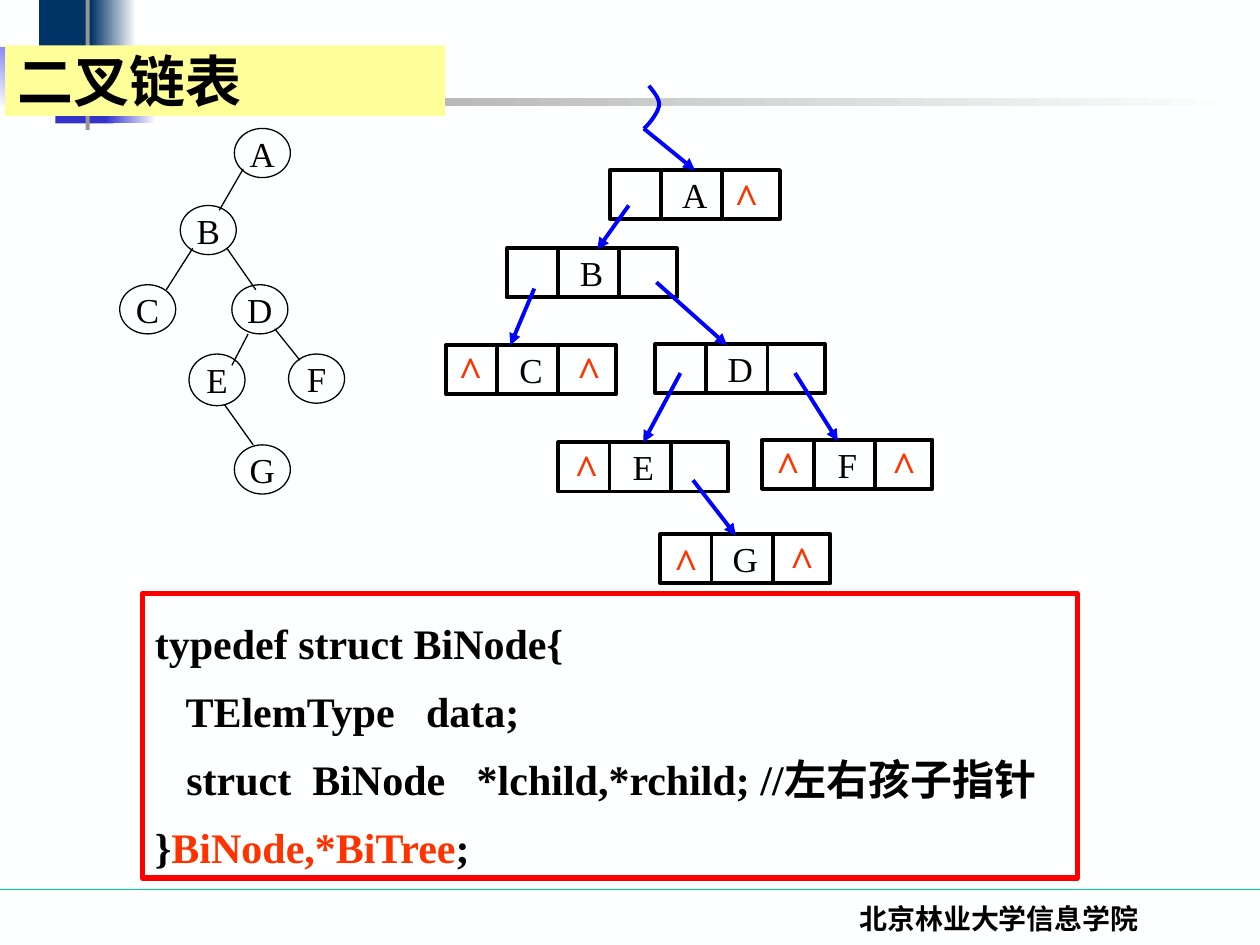
from lxml import etree
from pptx import Presentation
from pptx.dml.color import RGBColor
from pptx.enum import shapes, text
from pptx.oxml import ns
from pptx.util import Pt

BLACK, BLUE, RED, PAPER = "000000", "0000FF", "FF3300", "FEFFFF"
LATIN, CJK = "Times New Roman", "Noto Sans CJK SC"
RECT, OVAL = shapes.MSO_SHAPE.RECTANGLE, shapes.MSO_SHAPE.OVAL
LEFT, CENTER = text.PP_ALIGN.LEFT, text.PP_ALIGN.CENTER
TOP, MIDDLE = text.MSO_ANCHOR.TOP, text.MSO_ANCHOR.MIDDLE


def rgb(value):
    return RGBColor.from_string(value)


def apply(target, values):
    for name, value in values.items():
        setattr(target, name, value)


def write(sp, lines, size, bold=False, font=LATIN, align=CENTER,
          anchor=MIDDLE, wrap=False, spacing=None):
    tf = sp.text_frame
    apply(tf, {"word_wrap": wrap, "vertical_anchor": anchor,
               "margin_left": Pt(7.2), "margin_right": Pt(7.2),
               "margin_top": Pt(3.6), "margin_bottom": Pt(3.6)})
    for i, runs in enumerate(lines):
        p = tf.paragraphs[0] if i == 0 else tf.add_paragraph()
        apply(p, {"alignment": align, "line_spacing": spacing})
        for words, color in runs:
            r = p.add_run()
            r.text = words
            apply(r.font, {"size": Pt(size), "bold": bold, "name": font})
            r.font.color.rgb = rgb(color)
            ea = etree.SubElement(r.font._element, ns.qn("a:ea"))
            ea.set("typeface", CJK)


def add_box(s, kind, box, fill=None, line=None, width=0.75, angle=0):
    sp = s.shapes.add_shape(kind, *map(Pt, box))
    sp.shadow.inherit = False
    if isinstance(fill, tuple):
        sp.fill.gradient()
        sp.fill.gradient_angle = angle
        for stop, color, position in zip(sp.fill.gradient_stops, fill, (0, 1)):
            stop.color.rgb = rgb(color)
            stop.position = position
    elif fill:
        sp.fill.solid()
        sp.fill.fore_color.rgb = rgb(fill)
    else:
        sp.fill.background()
    if line:
        sp.line.color.rgb = rgb(line)
        sp.line.width = Pt(width)
    else:
        sp.line.fill.background()
    return sp


def add_line(s, x1, y1, x2, y2, color=BLACK, width=0.75, arrow=False):
    cx = s.shapes.add_connector(shapes.MSO_CONNECTOR.STRAIGHT,
                                *map(Pt, (x1, y1, x2, y2)))
    cx.line.color.rgb = rgb(color)
    cx.line.width = Pt(width)
    if arrow:
        etree.SubElement(cx.line._get_or_add_ln(), ns.qn("a:tailEnd"), type="triangle")
    etree.SubElement(cx._element.spPr, ns.qn("a:effectLst"))
    return cx


def add_text(s, box, words, size, color, anchor, wrap=False):
    sp = s.shapes.add_textbox(*map(Pt, box))
    write(sp, [[(words, color)]], size, bold=True, anchor=anchor, wrap=wrap)


def draw_backdrop(s, width, height):
    s.background.fill.solid()
    s.background.fill.fore_color.rgb = rgb(PAPER)
    add_line(s, 0, height - 31.7, width, height - 31.7, "00CC99")
    for box, fill, angle in [
        ((22.3, 0, 34.6, 37.4), "003366", 0),
        ((51.8, 0, 25.9, 37.4), ("003366", PAPER), 0),
        ((31.7, 33.1, 33.1, 37.4), "3333CC", 0),
        ((60.5, 33.1, 28.8, 37.4), ("3333CC", PAPER), 0),
        ((-0.7, 27.4, 43.9, 33.1), (PAPER, BLUE), 45),
        ((49, -8.6, 2.2, 82.8), "969696", 0),
        ((23.8, 56.2, 684.7, 4.3), ("969696", PAPER), 0),
    ]:
        add_box(s, RECT, box, fill, angle=angle)
    add_text(s, (421.9, height - 28.1, 298.1, 36), "北京林业大学信息学院",
             16, BLACK, TOP, wrap=True)


def draw_title(s, box):
    sp = add_box(s, RECT, box, "FFFF99")
    write(sp, [[("二叉链表", BLACK)]], 32, True, CJK, LEFT, wrap=True)


def draw_tree(s, left, top):
    nodes = {"A": (65.5, 0), "B": (34.6, 44), "C": (0, 89.3), "D": (64.1, 89.3),
             "E": (39.6, 128.9), "F": (96.5, 128.9), "G": (65.5, 180.8)}
    edges = [(70.6, 23.1, 56.9, 46.8), (41.8, 68.4, 26.6, 92.2),
             (61.2, 68.4, 77.8, 92.2), (73.4, 117.4, 64.1, 135.4),
             (88.6, 114.5, 103, 132.5), (59.8, 157.7, 76.3, 180.8)]
    for name, (x, y) in nodes.items():
        height = 29.5 if name == "E" else 28.1
        sp = add_box(s, OVAL, (left + x, top + y, 32, height), line=BLACK)
        write(sp, [[(name, BLACK)]], 20)
    for x1, y1, x2, y2 in edges:
        add_line(s, left + x1, top + y1, left + x2, top + y2)


def draw_record(s, name, x, y, carets):
    width, height = 97.2, 28.1
    sp = add_box(s, RECT, (x, y, width, height), line=BLACK, width=2.25)
    write(sp, [[(name, BLACK)]], 20)
    for dx in (29.3, 64.2):
        add_line(s, x + dx, y, x + dx, y + height, width=2.25)
    for dx, dy in carets:
        add_text(s, (x + dx, y + dy, 28.1, 36), "^", 24, RED, MIDDLE)
    return sp


def bezier(p0, p1, p2, p3, steps=10):
    for i in range(1, steps + 1):
        t = i / steps
        weights = ((1 - t) ** 3, 3 * t * (1 - t) ** 2, 3 * t * t * (1 - t), t ** 3)
        yield tuple(sum(w * c for w, c in zip(weights, axis))
                    for axis in zip(p0, p1, p2, p3))


def draw_root_curve(s, left, top):
    start, bend, end = (115.9, 0), (121.7, 11.5), (113, 24.5)
    points = [*bezier(start, (118.8, 3.6), (122.4, 7.9), bend),
              *bezier(bend, (121, 15.8), (115.2, 23), end)]
    fb = s.shapes.build_freeform(Pt(left + start[0]), Pt(top + start[1]))
    fb.add_line_segments([(Pt(left + x), Pt(top + y)) for x, y in points], close=False)
    sp = fb.convert_to_shape()
    sp.shadow.inherit = False
    sp.fill.background()
    sp.line.color.rgb = rgb(BLUE)
    sp.line.width = Pt(2.25)


def draw_linked_list(s, left, top):
    records = {"A": (93.6, 48.2, [(64.1, -2.9)]),
               "B": (34.6, 92.9, []),
               "C": (0, 148.3, [(0, -4.3), (67.7, -4.3)]),
               "D": (119.5, 147.6, []),
               "E": (64.1, 203.8, [(2.2, -3.6)]),
               "F": (180.7, 202.3, [(0.7, -3.6), (67, -3.6)]),
               "G": (122.4, 256.3, [(0.7, -2.2), (67, -3.6)])}
    pointers = [("A", 113, 24.5, 139.7, 49), ("B", 104.4, 68.4, 86.4, 93.6),
                ("C", 50.4, 115.9, 36.7, 148.3), ("D", 120.2, 112.3, 160.6, 148.3),
                ("E", 133.9, 164.2, 111.6, 203), ("F", 199.4, 164.2, 223.9, 203),
                ("G", 141.1, 225.4, 165.6, 257)]
    boxes = {name: draw_record(s, name, left + x, top + y, carets)
             for name, (x, y, carets) in records.items()}
    draw_root_curve(s, left, top)
    for name, x1, y1, x2, y2 in pointers:
        cx = add_line(s, left + x1, top + y1, left + x2, top + y2, BLUE, 2.25, True)
        sp = boxes[name]
        if abs(cx.end_x - sp.left - sp.width / 2) < Pt(3):
            cx.end_connect(sp, 0)


def draw_code(s, box):
    sp = add_box(s, RECT, box, line="FF0000", width=3)
    lines = [[("typedef struct BiNode{", BLACK)],
             [("   TElemType   data;", BLACK)],
             [("   struct  BiNode   *lchild,*rchild; //左右孩子指针", BLACK)],
             [("}", BLACK), ("BiNode,*BiTree", RED), (";", BLACK)]]
    write(sp, lines, 24, True, align=LEFT, anchor=TOP, wrap=True, spacing=1.35)


def main():
    prs = Presentation()
    apply(prs, {"slide_width": Pt(720), "slide_height": Pt(540)})
    s = prs.slides.add_slide(prs.slide_layouts[6])
    draw_backdrop(s, 720, 540)
    draw_tree(s, 68.4, 73.4)
    draw_linked_list(s, 254.9, 49)
    draw_title(s, (2.9, 25.9, 251.3, 40.3))
    draw_code(s, (81.4, 339.1, 534.2, 162.7))
    prs.save("out.pptx")


if __name__ == "__main__":
    main()
